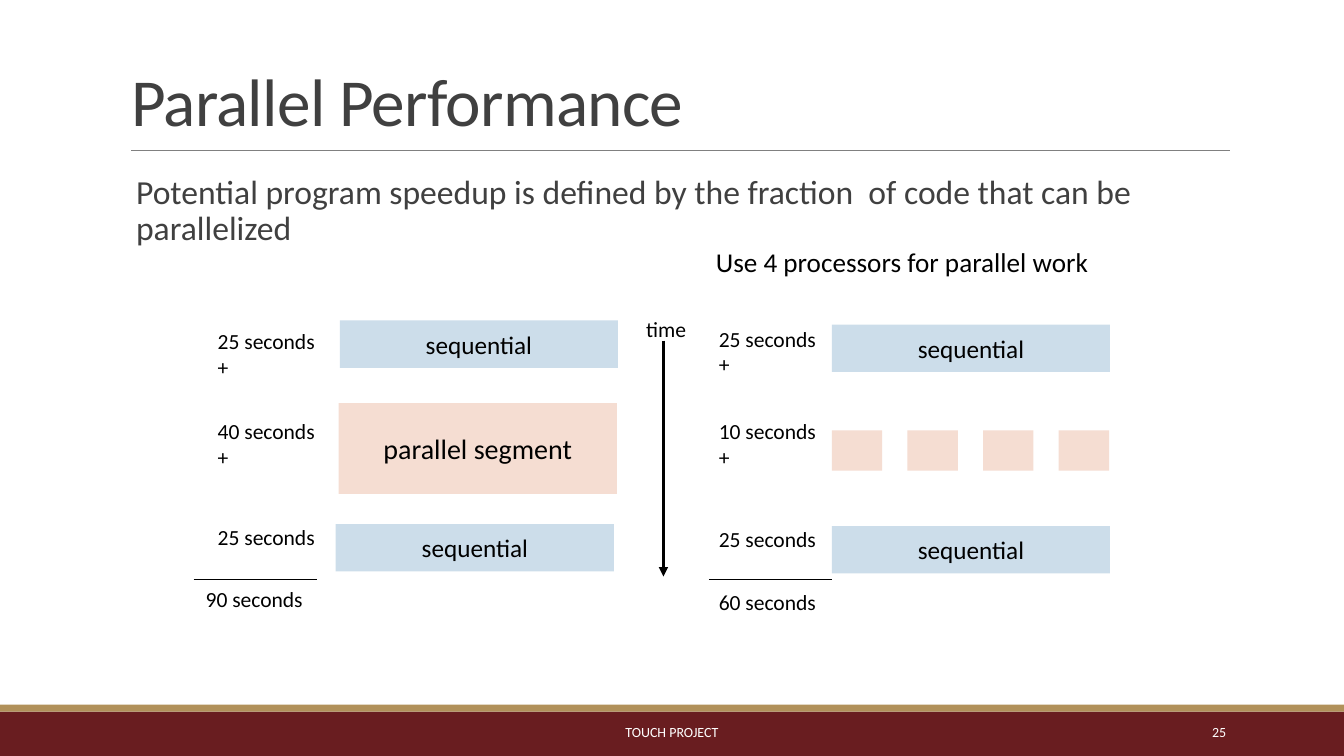
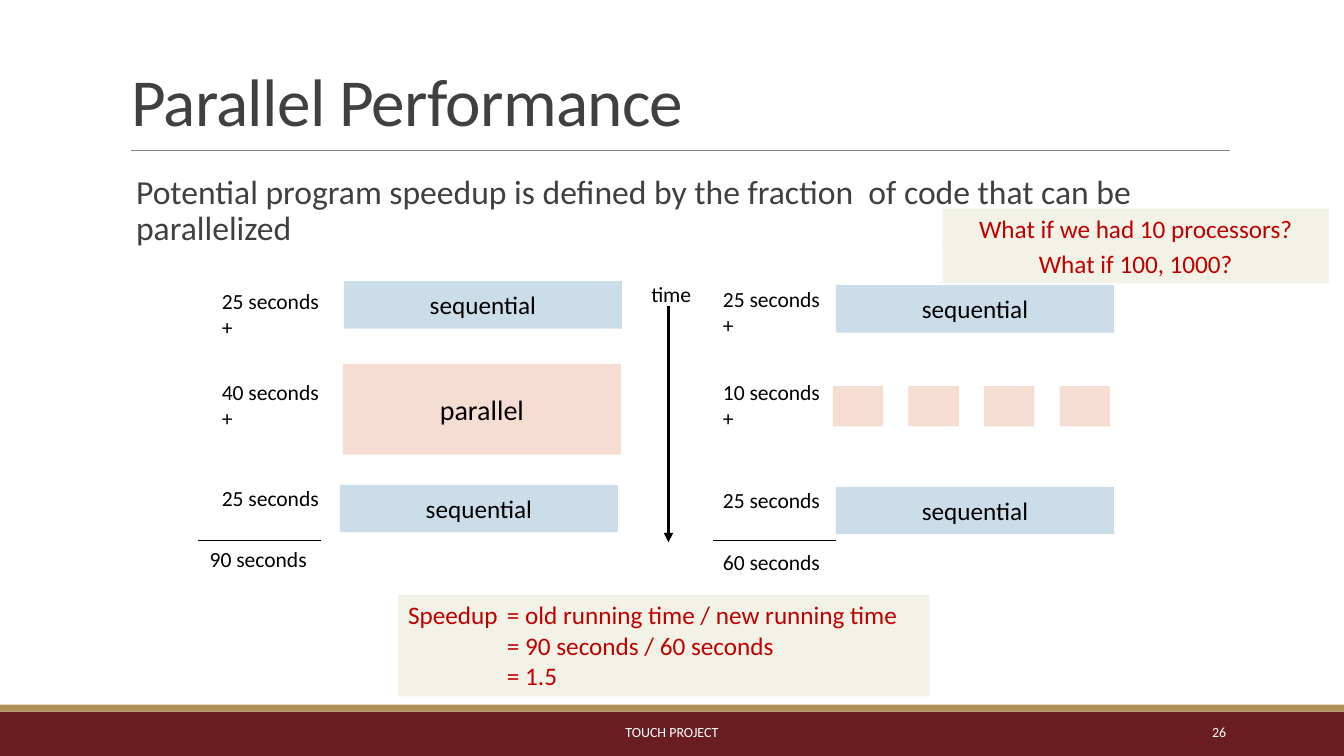
import pptx
import pptx.dml.color
import pptx.enum.shapes
import pptx.enum.text
import pptx.oxml
import pptx.oxml.ns
import pptx.util

PX = 9144  # EMU per px, 100 px to the inch
WIDTH, HEIGHT = 1333, 750
FONT = "Calibri"
COLORS = {
    "band": "691D20", "stripe": "B1915A", "rule": "808080",
    "title": "404040", "ink": "000000", "light": "FFFFFF",
    "sequential": "CCDDEA", "parallel": "F5DDD2",
    "note": "F3F2E6", "accent": "C00000",
}
ALIGN = pptx.enum.text.PP_ALIGN
ANCHOR = pptx.enum.text.MSO_ANCHOR


def rgb(name):
    return pptx.dml.color.RGBColor.from_string(COLORS[name])


def px(*lengths):
    return [pptx.util.Emu(length * PX) for length in lengths]


def write(frame, text, size=15.4, color="ink", align=ALIGN.LEFT, anchor=ANCHOR.TOP,
          inset=(0, 0), indent=0, line_spacing=None, after=0, tracking=0):
    """Fill a text frame, one paragraph per line of text."""
    frame.word_wrap = True
    frame.auto_size = pptx.enum.text.MSO_AUTO_SIZE.NONE
    frame.vertical_anchor = anchor
    frame.margin_left = frame.margin_right = inset[0] * PX
    frame.margin_top = frame.margin_bottom = inset[1] * PX
    for index, line in enumerate(text.split("\n")):
        paragraph = frame.add_paragraph() if index else frame.paragraphs[0]
        paragraph.alignment = align
        paragraph.space_before = pptx.util.Pt(0)
        paragraph.space_after = pptx.util.Pt(after)
        if line_spacing:
            paragraph.line_spacing = line_spacing
        if indent:
            properties = paragraph._p.get_or_add_pPr()
            properties.set("marL", str(indent * PX))
            properties.set("indent", "0")
        run = paragraph.add_run()
        run.text = line
        run.font.name = FONT
        run.font.size = pptx.util.Pt(size)
        run.font.color.rgb = rgb(color)
        if tracking:
            run._r.get_or_add_rPr().set("spc", str(int(tracking * 100)))


class Deck:
    def __init__(self):
        self.presentation = pptx.Presentation()
        self.presentation.slide_width, self.presentation.slide_height = px(WIDTH, HEIGHT)
        self.slide = None

    def add_slide(self, title, number):
        self.slide = self.presentation.slides.add_slide(self.presentation.slide_layouts[5])
        # Bands and title rule
        self.box(0, 706, WIDTH, 44, "band")
        self.box(0, 699, WIDTH, 7, "stripe")
        self.line(130, 149, 1220, 149, "rule", 0.5)
        # Title
        heading = self.slide.shapes.title
        heading.left, heading.top, heading.width, heading.height = px(120, 31, 1100, 113)
        write(heading.text_frame, title, size=48, color="title", anchor=ANCHOR.BOTTOM,
              inset=(10, 5), line_spacing=0.85, tracking=-0.5)
        # Footer
        footer = dict(size=10, color="light", anchor=ANCHOR.MIDDLE, inset=(10, 5))
        self.text(403, 706, 527, 40, "TOUCH PROJECT", align=ALIGN.CENTER, **footer)
        self.text(1083, 706, 143, 40, str(number), align=ALIGN.RIGHT, **footer)

    def text(self, x, y, width, height, text, **style):
        label = self.slide.shapes.add_textbox(*px(x, y, width, height))
        write(label.text_frame, text, **style)

    def box(self, x, y, width, height, fill, text="", **style):
        rectangle = self.slide.shapes.add_shape(
            pptx.enum.shapes.MSO_SHAPE.RECTANGLE, *px(x, y, width, height))
        rectangle.shadow.inherit = False
        rectangle.fill.solid()
        rectangle.fill.fore_color.rgb = rgb(fill)
        rectangle.line.fill.background()
        if text:
            write(rectangle.text_frame, text, **style)
        return rectangle

    def segment(self, x, y, height, kind, text, size=18):
        self.box(x, y, 276, height, kind, text, size=size,
                 align=ALIGN.CENTER, anchor=ANCHOR.MIDDLE)

    def note(self, x, y, width, height, text, **style):
        return self.box(x, y, width, height, "note", text, size=18,
                        color="accent", inset=(10, 5), **style)

    def line(self, x1, y1, x2, y2, color="ink", weight=0.82, arrow=False):
        stroke = self.slide.shapes.add_connector(
            pptx.enum.shapes.MSO_CONNECTOR.STRAIGHT, *px(x1, y1, x2, y2))
        stroke.line.color.rgb = rgb(color)
        stroke.line.width = pptx.util.Pt(weight)
        if arrow:
            head = pptx.oxml.parse_xml(
                f'<a:tailEnd {pptx.oxml.ns.nsdecls("a")} type="triangle"/>')
            stroke.line._get_or_add_ln().append(head)
        stroke._element.spPr.append(
            pptx.oxml.parse_xml(f'<a:effectLst {pptx.oxml.ns.nsdecls("a")}/>'))


def draw_statement(deck):
    deck.text(120, 169, 1153, 473,
              "Potential program speedup is defined by the fraction  of code "
              "that can be parallelized",
              size=24, color="title", inset=(0, 5), indent=15, line_spacing=0.9, after=2)


def draw_comparison(deck, dx, dy, parallel_label, time_at, tasks_at):
    # Durations and their totals
    durations = [
        (216, 325, "25 seconds\n+"), (216, 415, "40 seconds\n+"),
        (216, 520, "25 seconds"), (204, 581, "90 seconds"),
        (713, 323, "25 seconds\n+"), (713, 415, "10 seconds\n+"),
        (713, 522, "25 seconds"), (713, 584, "60 seconds"),
    ]
    for x, y, duration in durations:
        deck.text(x + dx, y + dy, 113, 26 * len(duration.split("\n")), duration)
    for x in (192, 703):
        deck.line(x + dx, 575 + dy, x + 122 + dx, 575 + dy)

    # Program segments
    for x, y in ((337, 318), (333, 520), (825, 322), (825, 522)):
        deck.segment(x + dx, y + dy, 47, "sequential", "sequential")
    deck.segment(336 + dx, 400 + dy, 90, "parallel", parallel_label, size=20)

    # Work shared by four processors
    x, y = tasks_at
    for processor in range(4):
        deck.box(x + 75 * processor, y, 50, 40, "parallel")

    # Time axis
    x, y = time_at
    deck.text(x, y, 43, 26, "time")
    deck.line(x + 17, y + 25, x + 17, y + 259, weight=2.25, arrow=True)


def draw_speedup(deck):
    column = 98
    speedup = deck.note(395, 590, 527, 101,
                        "Speedup\t= old running time / new running time\n"
                        "= 90 seconds / 60 seconds\n= 1.5")
    first, *results = speedup.text_frame.paragraphs
    first._p.get_or_add_pPr().append(pptx.oxml.parse_xml(
        f'<a:tabLst {pptx.oxml.ns.nsdecls("a")}>'
        f'<a:tab pos="{column * PX}" algn="l"/></a:tabLst>'))
    for result in results:
        result._p.get_or_add_pPr().set("marL", str(column * PX))


def main():
    deck = Deck()

    # Four processors
    deck.add_slide("Parallel Performance", 25)
    draw_statement(deck)
    draw_comparison(deck, 0, 0, "parallel segment", time_at=(641, 313), tasks_at=(825, 427))
    deck.text(710, 243, 410, 33, "Use 4 processors for parallel work", size=19.4)

    # Speedup and more processors
    deck.add_slide("Parallel Performance", 26)
    draw_statement(deck)
    draw_comparison(deck, 4, -39, "parallel", time_at=(646, 279), tasks_at=(826, 383))
    draw_speedup(deck)
    questions = ("What if we had 10 processors?", "What if 100, 1000?")
    for row, question in enumerate(questions):
        deck.note(935, 207 + 34 * row, 383, 40, question, align=ALIGN.CENTER)

    deck.presentation.save("out.pptx")


if __name__ == "__main__":
    main()
